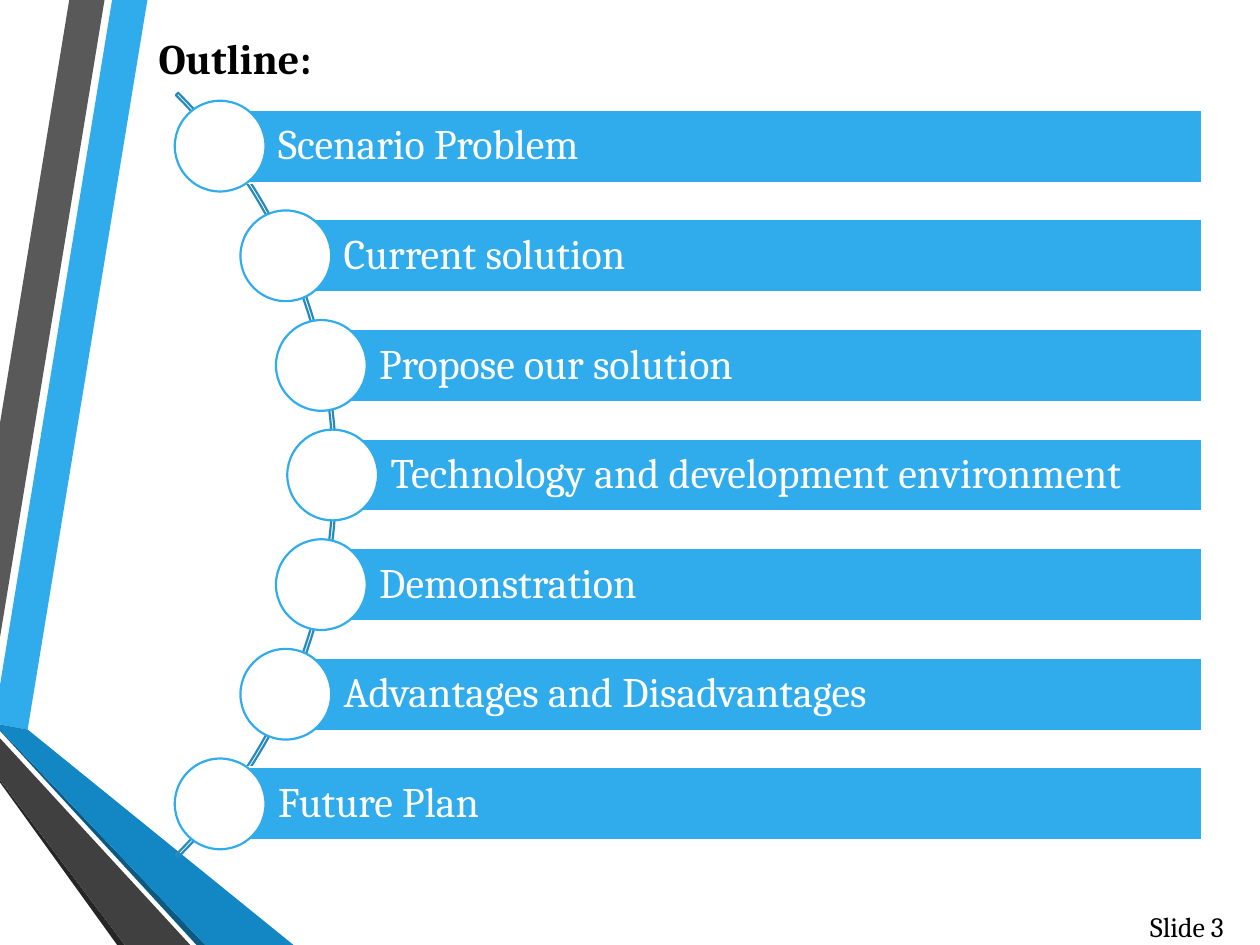
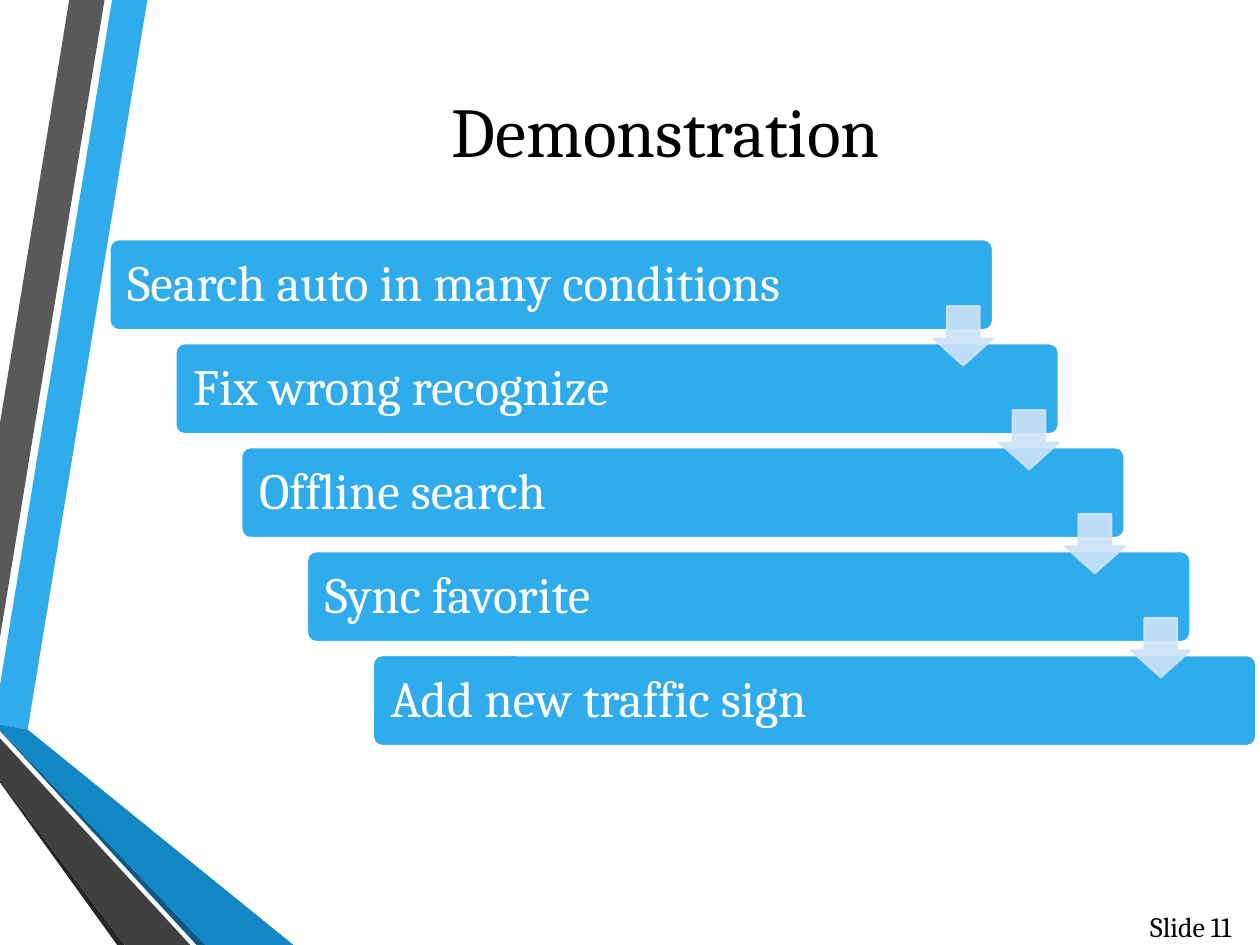
"""Build the outline and demonstration slides with their shared folded-ribbon edge."""
import math
from dataclasses import dataclass

import pptx
import pptx.dml.color
import pptx.enum.shapes
import pptx.enum.text
import pptx.oxml
import pptx.oxml.ns
import pptx.util

Inches = pptx.util.Inches
Pt = pptx.util.Pt
SHAPES = pptx.enum.shapes.MSO_SHAPE
ALIGN = pptx.enum.text.PP_ALIGN
ANCHOR = pptx.enum.text.MSO_ANCHOR


@dataclass(frozen=True)
class Theme:
    font: str = "Cambria"
    accent: str = "30ACEC"
    arc: str = "268ABD"
    arrow: str = "CDE3F8"
    white: str = "FFFFFF"
    black: str = "000000"
    line_width: float = 1.25
    title_size: int = 40
    step_size: int = 29
    outline_size: int = 24
    footer_size: int = 16


THEME = Theme()

OUTLINE_HEADING = "Outline:"
OUTLINE_TOPICS = [
    "Scenario Problem",
    "Current solution",
    "Propose our solution",
    "Technology and development environment",
    "Demonstration",
    "Advantages and Disadvantages",
    "Future Plan",
]
OUTLINE_FOOTER = "Slide 3"

DEMO_TITLE = "Demonstration"
DEMO_STEPS = [
    "Search auto in many conditions",
    "Fix wrong recognize",
    "Offline search",
    "Sync favorite",
    "Add new traffic sign",
]
DEMO_FOOTER = "Slide 11"

RIBBONS = [
    (THEME.accent, [(0, 5.44), (0, 5.75), (0.22, 5.79), (1.17, 0), (0.89, 0)]),
    ("595959", [(0.83, 0), (0.55, 0), (0, 3.36), (0, 5.06)]),
    ("262626", [(0, 6.19), (0, 6.21), (0.93, 7.5), (0.99, 7.5)]),
    ("0C5A82", [(0, 5.79), (0, 5.8), (1.56, 7.5), (1.63, 7.5)]),
    ("1287C3", [(0, 5.79), (1.63, 7.5), (2.33, 7.5), (0.22, 5.79), (0, 5.75)]),
    ("404040", [(0, 6.19), (0.99, 7.5), (1.51, 7.5), (0, 5.86)]),
]


def rgb(color):
    return pptx.dml.color.RGBColor.from_string(color)


def add_ribbons(slide):
    for color, points in RIBBONS:
        corners = [(Inches(x), Inches(y)) for x, y in points]
        builder = slide.shapes.build_freeform(*corners[0])
        builder.add_line_segments(corners[1:], close=True)
        ribbon = builder.convert_to_shape()
        ribbon.shadow.inherit = False
        ribbon.fill.solid()
        ribbon.fill.fore_color.rgb = rgb(color)
        ribbon.line.fill.background()


def add_shape(slide, kind, box, fill, line, adjustments=()):
    shape = slide.shapes.add_shape(kind, *map(Inches, box))
    shape.shadow.inherit = False
    for index, value in enumerate(adjustments):
        shape.adjustments[index] = value
    if fill:
        shape.fill.solid()
        shape.fill.fore_color.rgb = rgb(fill)
    else:
        shape.fill.background()
    shape.line.color.rgb = rgb(line)
    shape.line.width = Pt(THEME.line_width)
    return shape


def write(shape, text, size, color, bold=False, align=ALIGN.LEFT,
          anchor=ANCHOR.MIDDLE, insets=(0.1, 0.05, 0.1, 0.05), spacing=None):
    frame = shape.text_frame
    frame.word_wrap = True
    frame.vertical_anchor = anchor
    (frame.margin_left, frame.margin_top,
     frame.margin_right, frame.margin_bottom) = map(Inches, insets)
    paragraph = frame.paragraphs[0]
    paragraph.text = text
    paragraph.alignment = align
    paragraph.line_spacing = spacing
    paragraph.font.name = THEME.font
    paragraph.font.size = Pt(size)
    paragraph.font.bold = bold
    paragraph.font.color.rgb = rgb(color)


def add_text(slide, box, text, size, **style):
    textbox = slide.shapes.add_textbox(*map(Inches, box))
    write(textbox, text, size, THEME.black, **style)


def set_opacity(shape, percent):
    for color in shape._element.spPr.iter(pptx.oxml.ns.qn("a:srgbClr")):
        alpha = pptx.oxml.parse_xml(
            f'<a:alpha {pptx.oxml.ns.nsdecls("a")} val="{percent * 1000}"/>')
        color.append(alpha)


def add_slide(presentation, footer):
    slide = presentation.slides.add_slide(presentation.slide_layouts[6])
    slide.background.fill.solid()
    slide.background.fill.fore_color.rgb = rgb(THEME.white)
    add_ribbons(slide)
    add_text(slide, (9.03, 7.15, 1.1, 0.4), footer, THEME.footer_size)
    return slide


def build_outline(presentation):
    slide = add_slide(presentation, OUTLINE_FOOTER)
    center_x, center_y, arc_size, track_radius = -1.62, 3.77, 8.58, 4.26
    pitch, bar_height, bar_right, circle = 0.87, 0.58, 9.54, 0.72
    add_shape(slide, SHAPES.BLOCK_ARC,
              (center_x - arc_size / 2, center_y - arc_size / 2, arc_size, arc_size),
              None, THEME.arc, (189, 27, 0.003))
    middle = (len(OUTLINE_TOPICS) - 1) / 2
    for index, topic in enumerate(OUTLINE_TOPICS):
        offset = (index - middle) * pitch
        x = center_x + math.sqrt(track_radius ** 2 - offset ** 2)
        y = center_y + offset
        bar = add_shape(slide, SHAPES.RECTANGLE,
                        (x, y - bar_height / 2, bar_right - x, bar_height),
                        THEME.accent, THEME.white)
        write(bar, topic, THEME.outline_size, THEME.white,
              insets=(0.46, 0.07, 0.07, 0.07), spacing=0.9)
        add_shape(slide, SHAPES.OVAL, (x - circle / 2, y - circle / 2, circle, circle),
                  THEME.white, THEME.accent)
    add_text(slide, (1.16, 0.21, 2.55, 0.5), OUTLINE_HEADING, THEME.outline_size,
             bold=True, anchor=ANCHOR.TOP)


def build_demonstration(presentation):
    slide = add_slide(presentation, DEMO_FOOTER)
    first, last = (0.87, 1.9), (2.96, 5.2)
    width, height, arrow, arrow_drop = 7.01, 0.72, 0.47, 0.53
    gaps = len(DEMO_STEPS) - 1
    corners = [tuple(a + (b - a) * index / gaps for a, b in zip(first, last))
               for index in range(len(DEMO_STEPS))]
    for (left, top), step in zip(corners, DEMO_STEPS):
        bar = add_shape(slide, SHAPES.ROUNDED_RECTANGLE, (left, top, width, height),
                        THEME.accent, THEME.white, (0.1,))
        write(bar, step, THEME.step_size, THEME.white, insets=(0.12,) * 4, spacing=0.9)
    for left, top in corners[:-1]:
        pointer = add_shape(slide, SHAPES.DOWN_ARROW,
                            (left + width - arrow, top + arrow_drop, arrow, arrow),
                            THEME.arrow, THEME.arrow, (0.55, 0.45))
        set_opacity(pointer, 90)
    add_text(slide, (1.07, 0.4, 8.43, 1.26), DEMO_TITLE, THEME.title_size,
             align=ALIGN.CENTER)


def main():
    presentation = pptx.Presentation()
    presentation.slide_width = Inches(10)
    presentation.slide_height = Inches(7.5)
    build_outline(presentation)
    build_demonstration(presentation)
    presentation.save("out.pptx")


if __name__ == "__main__":
    main()
